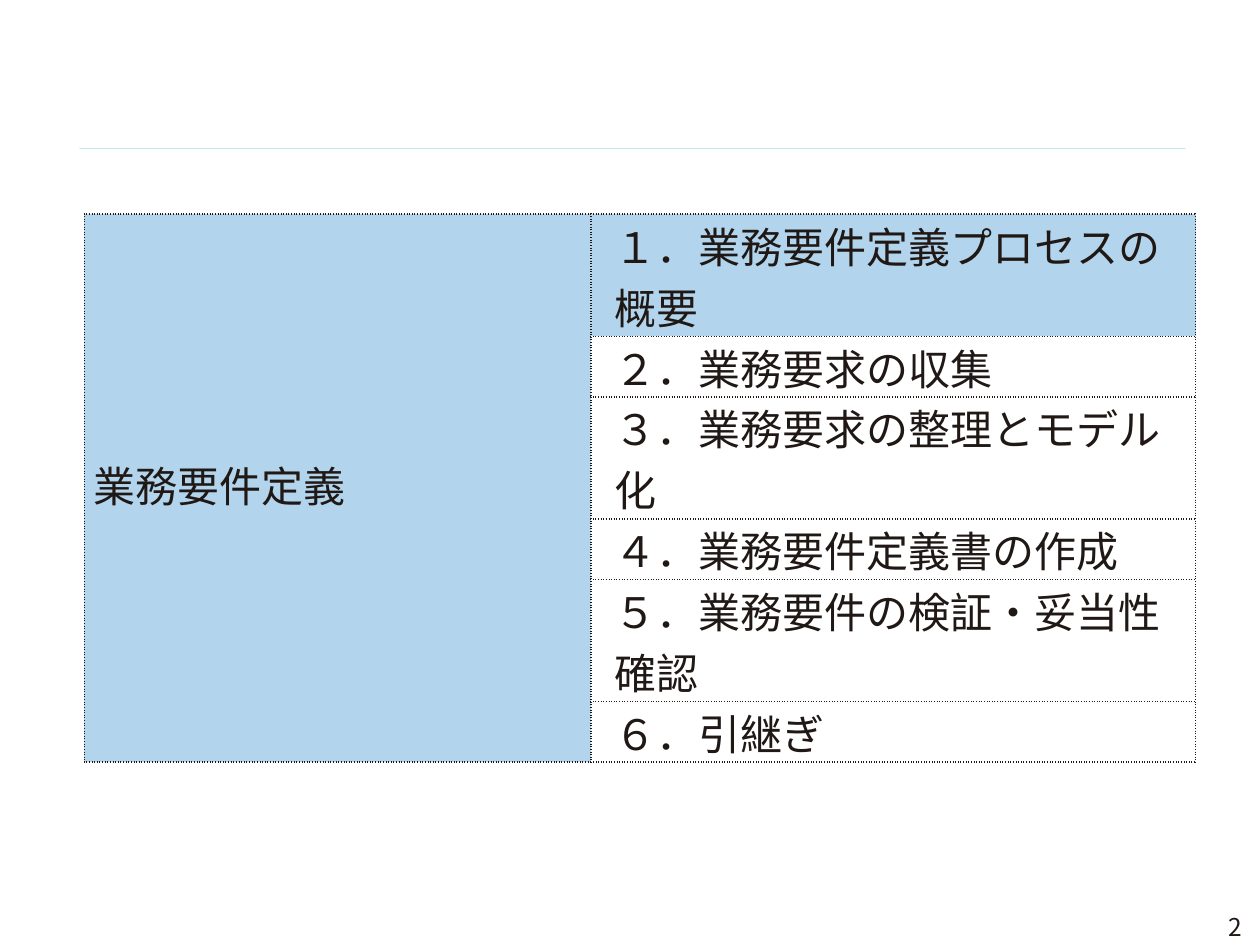
from dataclasses import dataclass

from lxml import etree
from pptx import Presentation
from pptx.dml.color import RGBColor
from pptx.enum.shapes import MSO_CONNECTOR
from pptx.enum.text import MSO_ANCHOR, PP_ALIGN
from pptx.oxml.ns import qn
from pptx.util import Inches, Pt

STRAIGHT = MSO_CONNECTOR.STRAIGHT
MIDDLE = MSO_ANCHOR.MIDDLE
RIGHT = PP_ALIGN.RIGHT

BLANK_LAYOUT = 6
FONT = "Noto Sans CJK JP"
COLORS = {
    "ink": "201815",
    "rule": "1BADBD",
    "current": "B2D5ED",
    "plain": "FFFFFF",
}
NO_MARGINS = {
    "margin_left": 0,
    "margin_right": 0,
    "margin_top": 0,
    "margin_bottom": 0,
}
COLUMN_WIDTHS = (4.02, 4.8)
ONE_LINE, TWO_LINES = 0.48, 0.97


@dataclass(frozen=True)
class Entry:
    text: str
    height: float = ONE_LINE
    fill: str = "plain"
    left: float = 0.19
    hanging: float = 0


SECTIONS = (
    Entry("１．業務要件定義プロセスの概要", TWO_LINES, "current"),
    Entry("２．業務要求の収集"),
    Entry("３．業務要求の整理とモデル化", TWO_LINES),
    Entry("４．業務要件定義書の作成"),
    Entry("５．業務要件の検証・妥当性確認", TWO_LINES),
    Entry("６．引継ぎ"),
)
AGENDA_HEIGHT = sum(section.height for section in SECTIONS)
CHAPTER = Entry(" 業務要件定義", AGENDA_HEIGHT, "current", 0.11, -0.11)


def rgb(name: str) -> RGBColor:
    return RGBColor.from_string(COLORS[name])


def apply(target, values: dict) -> None:
    for name, value in values.items():
        setattr(target, name, value)


def write(paragraph, text: str, size: float) -> None:
    run = paragraph.add_run()
    run.text = text
    apply(run.font, {"name": FONT, "size": Pt(size)})
    run.font.color.rgb = rgb("ink")
    # East Asian characters take their typeface from a separate element
    etree.SubElement(run.font._element, qn("a:ea"), typeface=FONT)


def add_dotted_borders(cell) -> None:
    properties = cell._tc.get_or_add_tcPr()
    for position, side in enumerate(("lnL", "lnR", "lnT", "lnB")):
        border = etree.Element(qn(f"a:{side}"), w=str(Pt(1)))
        fill = etree.SubElement(border, qn("a:solidFill"))
        etree.SubElement(fill, qn("a:srgbClr"), val=COLORS["ink"])
        etree.SubElement(border, qn("a:prstDash"), val="sysDot")
        properties.insert(position, border)


def fill_cell(cell, entry: Entry) -> None:
    apply(cell, {**NO_MARGINS, "vertical_anchor": MIDDLE})
    paragraph = cell.text_frame.paragraphs[0]
    indents = paragraph._p.get_or_add_pPr()
    indents.set("marL", str(Inches(entry.left)))
    indents.set("indent", str(Inches(entry.hanging)))
    write(paragraph, entry.text, 24)


def add_agenda(slide) -> None:
    table = slide.shapes.add_table(
        len(SECTIONS), len(COLUMN_WIDTHS), Inches(0.67), Inches(1.7),
        Inches(sum(COLUMN_WIDTHS)), Inches(AGENDA_HEIGHT),
    ).table
    apply(table, {"first_row": False, "horz_banding": False})
    for column, width in zip(table.columns, COLUMN_WIDTHS):
        column.width = Inches(width)

    chapter_cell = table.cell(0, 0)
    chapter_cell.merge(table.cell(len(SECTIONS) - 1, 0))
    fill_cell(chapter_cell, CHAPTER)
    apply(chapter_cell.text_frame.paragraphs[0],
          {"line_spacing": 0.8, "space_before": Pt(7.2)})

    for row, section in enumerate(SECTIONS):
        table.rows[row].height = Inches(section.height)
        fill_cell(table.cell(row, 1), section)
        for column, entry in enumerate((CHAPTER, section)):
            cell = table.cell(row, column)
            cell.fill.solid()
            cell.fill.fore_color.rgb = rgb(entry.fill)
            add_dotted_borders(cell)


def add_header_rule(slide) -> None:
    rule = slide.shapes.add_connector(
        STRAIGHT, Inches(0.63), Inches(1.18), Inches(9.41), Inches(1.18))
    rule.line.color.rgb = rgb("rule")
    rule.line.width = Pt(0.25)
    properties = rule._element.spPr
    tint = properties.find(".//" + qn("a:srgbClr"))
    etree.SubElement(tint, qn("a:alpha"), val="40000")
    etree.SubElement(properties, qn("a:effectLst"))


def add_page_number(slide, number: str) -> None:
    frame = slide.shapes.add_textbox(
        Inches(8.57), Inches(7.2), Inches(1.39), Inches(0.31)).text_frame
    apply(frame, {**NO_MARGINS, "margin_right": Inches(0.1),
                  "word_wrap": True, "vertical_anchor": MIDDLE})
    paragraph = frame.paragraphs[0]
    paragraph.alignment = RIGHT
    write(paragraph, number, 14)


def main() -> None:
    presentation = Presentation()
    apply(presentation,
          {"slide_width": Inches(10), "slide_height": Inches(7.5)})
    slide = presentation.slides.add_slide(
        presentation.slide_layouts[BLANK_LAYOUT])
    add_header_rule(slide)
    add_page_number(slide, "2")
    add_agenda(slide)
    presentation.save("out.pptx")


if __name__ == "__main__":
    main()
